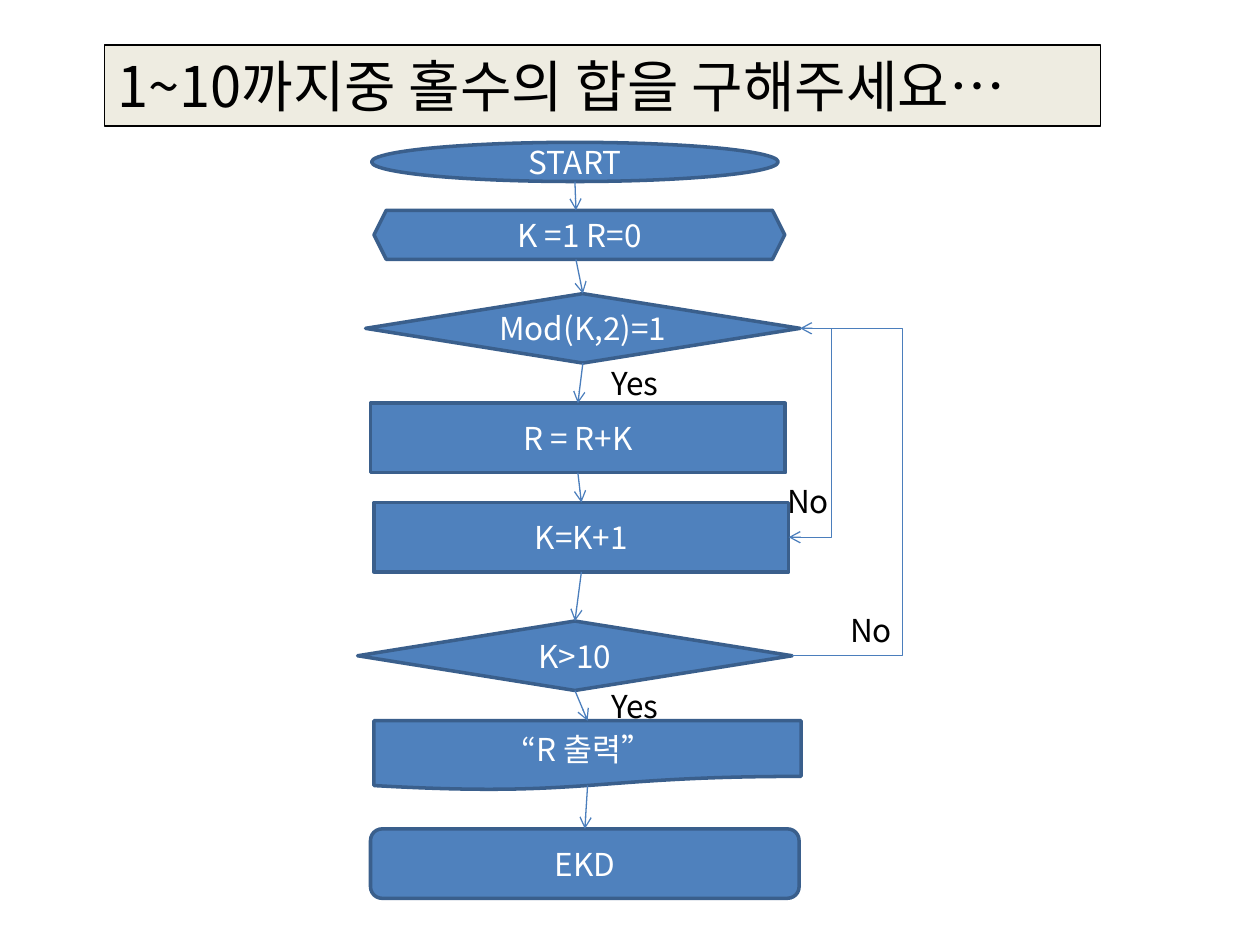
from dataclasses import dataclass

from lxml import etree
from pptx import Presentation
from pptx.dml.color import RGBColor
from pptx.enum.shapes import MSO_CONNECTOR, MSO_SHAPE
from pptx.enum.text import MSO_ANCHOR, MSO_AUTO_SIZE, PP_ALIGN
from pptx.oxml.ns import qn
from pptx.util import Cm, Pt

STRAIGHT, ELBOW = MSO_CONNECTOR.STRAIGHT, MSO_CONNECTOR.ELBOW
LEFT, CENTER = PP_ALIGN.LEFT, PP_ALIGN.CENTER
TOP, MIDDLE = MSO_ANCHOR.TOP, MSO_ANCHOR.MIDDLE
TITLE_ONLY = 5


@dataclass(frozen=True)
class Theme:
    font: str = "Noto Sans CJK KR"
    title_size: float = 32
    body_size: float = 18
    dark: str = "000000"
    light: str = "FFFFFF"
    banner: str = "EEECE1"
    node: str = "4F81BD"
    node_line: str = "3A5F8C"
    arrow: str = "4B7EBC"
    thin: float = 0.75
    thick: float = 2


THEME = Theme()


@dataclass(frozen=True)
class Step:
    """One flowchart step; lengths are in centimetres."""
    kind: MSO_SHAPE
    text: str
    x: float
    y: float
    w: float
    h: float = 1.4
    port_shift: float = 0  # sideways offset of the arrow ports
    exit_ratio: float = 1  # height at which the arrow leaves

    @property
    def port_x(self):
        return self.x + self.w / 2 + self.port_shift

    @property
    def entry(self):
        return self.port_x, self.y

    @property
    def exit(self):
        return self.port_x, self.y + self.h * self.exit_ratio

    @property
    def right(self):
        return self.x + self.w, self.y + self.h / 2


START = Step(MSO_SHAPE.OVAL, "START", 7.49, 2.87, 8.2, 0.79)
INIT = Step(MSO_SHAPE.HEXAGON, "K =1 R=0", 7.54, 4.24, 8.28, 0.99, port_shift=-0.07)
IS_ODD = Step(MSO_SHAPE.FLOWCHART_DECISION, "Mod(K,2)=1", 7.37, 5.92, 8.76)
ADD = Step(MSO_SHAPE.FLOWCHART_PROCESS, "R = R+K", 7.47, 8.13, 8.36)
INCREMENT = Step(MSO_SHAPE.FLOWCHART_PROCESS, "K=K+1", 7.54, 10.13, 8.36)
IS_DONE = Step(MSO_SHAPE.FLOWCHART_DECISION, "K>10", 7.21, 12.52, 8.76)
OUTPUT = Step(MSO_SHAPE.FLOWCHART_DOCUMENT, "“R 출력”", 7.54, 14.53, 8.61, exit_ratio=0.93)
END = Step(MSO_SHAPE.FLOWCHART_ALTERNATE_PROCESS, "EKD", 7.47, 16.71, 8.64)
STEPS = [START, INIT, IS_ODD, ADD, INCREMENT, IS_DONE, OUTPUT, END]

LABELS = [("Yes", 12.07, 7.21), ("No", 15.62, 9.6), ("Yes", 12.07, 13.72), ("No", 16.89, 12.19)]

# Side branches: start, end, x of the vertical run
BRANCHES = [(IS_ODD.right, INCREMENT.right, 16.76), (IS_DONE.right, IS_ODD.right, 18.19)]


def rgb(value):
    return RGBColor.from_string(value)


def write_text(sp, text, size, color, align, anchor):
    tf = sp.text_frame
    tf.word_wrap = True
    tf.auto_size = MSO_AUTO_SIZE.NONE
    tf.vertical_anchor = anchor
    p = tf.paragraphs[0]
    p.text = text
    p.alignment = align
    p.font.size = Pt(size)
    p.font.color.rgb = rgb(color)
    p.font.name = THEME.font
    # Hangul takes the East Asian typeface
    latin = p._p.pPr.find(qn("a:defRPr")).find(qn("a:latin"))
    ea = etree.Element(qn("a:ea"), typeface=THEME.font)
    latin.addnext(ea)


def paint(sp, fill, line, width):
    sp.fill.solid()
    sp.fill.fore_color.rgb = rgb(fill)
    sp.line.color.rgb = rgb(line)
    sp.line.width = Pt(width)


def add_title(slide, text):
    sp = slide.shapes.title
    sp.left, sp.top, sp.width, sp.height = Cm(2.11), Cm(0.91), Cm(20.07), Cm(1.63)
    paint(sp, THEME.banner, THEME.dark, THEME.thin)
    write_text(sp, text, THEME.title_size, THEME.dark, LEFT, TOP)


def add_step(slide, step):
    sp = slide.shapes.add_shape(step.kind, Cm(step.x), Cm(step.y), Cm(step.w), Cm(step.h))
    sp.shadow.inherit = False
    paint(sp, THEME.node, THEME.node_line, THEME.thick)
    write_text(sp, step.text, THEME.body_size, THEME.light, CENTER, MIDDLE)


def add_label(slide, text, x, y):
    sp = slide.shapes.add_textbox(Cm(x), Cm(y), Cm(1.8), Cm(1.02))
    write_text(sp, text, THEME.body_size, THEME.dark, LEFT, TOP)


def add_arrow(slide, begin, end, kind=STRAIGHT):
    cxn = slide.shapes.add_connector(kind, *(Cm(v) for v in (*begin, *end)))
    cxn.line.color.rgb = rgb(THEME.arrow)
    cxn.line.width = Pt(THEME.thin)
    etree.SubElement(cxn.line._get_or_add_ln(), qn("a:tailEnd"), type="arrow")
    etree.SubElement(cxn._element.spPr, qn("a:effectLst"))
    return cxn


def add_branch(slide, begin, end, via_x):
    cxn = add_arrow(slide, begin, end, ELBOW)
    # The bend position is a share of the horizontal distance
    bend = round((via_x - begin[0]) / (end[0] - begin[0]) * 100000)
    geom = cxn._element.spPr.find(qn("a:prstGeom"))
    av_list = geom.find(qn("a:avLst"))
    if av_list is None:
        av_list = etree.SubElement(geom, qn("a:avLst"))
    etree.SubElement(av_list, qn("a:gd"), name="adj1", fmla=f"val {bend}")


def main():
    prs = Presentation()
    prs.slide_width, prs.slide_height = Cm(25.4), Cm(19.05)
    slide = prs.slides.add_slide(prs.slide_layouts[TITLE_ONLY])
    add_title(slide, "1~10까지중 홀수의 합을 구해주세요…")

    # Steps and the arrows down the main path
    for step in STEPS:
        add_step(slide, step)
    for step, following in zip(STEPS, STEPS[1:]):
        add_arrow(slide, step.exit, following.entry)

    # Branches and their answers
    for branch in BRANCHES:
        add_branch(slide, *branch)
    for label in LABELS:
        add_label(slide, *label)

    prs.save("out.pptx")


if __name__ == "__main__":
    main()
